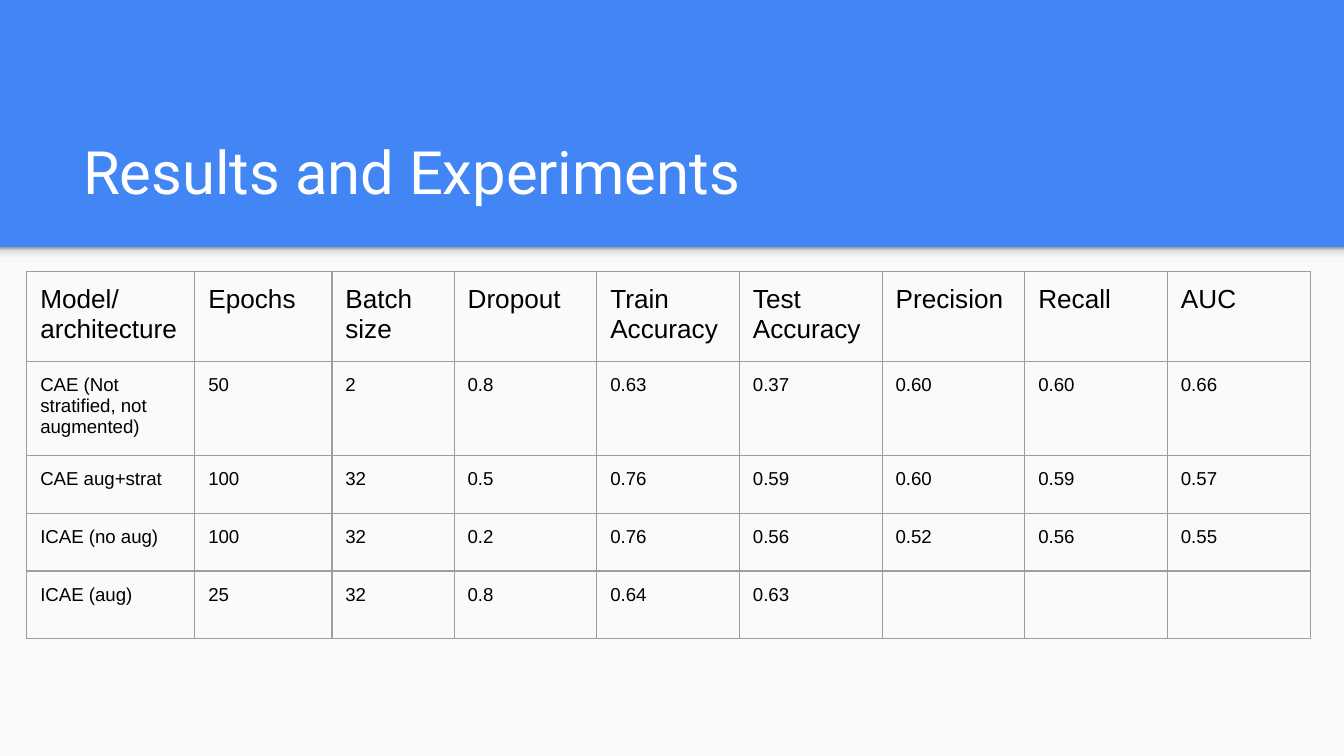
import pptx
import pptx.dml.color
import pptx.enum.shapes
import pptx.enum.text
import pptx.oxml.ns
import pptx.util
from lxml import etree

Inches = pptx.util.Inches
Pt = pptx.util.Pt
qn = pptx.oxml.ns.qn

COLORS = {
    "blue": "4285F4",
    "paper": "FAFAFA",
    "white": "FFFFFF",
    "ink": "000000",
    "rule": "9E9E9E",
}
SHADE = [(0, "999999"), (20, "DEDEDE"), (64, "F9F9F9"), (100, "F9F9F9")]

# The first three columns are set, the other six share the rest
WIDTH = 9.55
FIRST = [1.25, 1.02, 0.91]
COLS = FIRST + [(WIDTH - sum(FIRST)) / 6] * 6
# Least heights: rows grow to fit their text
ROWS = [0.42] + [0.43] * 4
DATA = [
    ["Model/\narchitecture", "Epochs", "Batch size", "Dropout", "Train Accuracy",
     "Test Accuracy", "Precision", "Recall", "AUC"],
    ["CAE (Not stratified, not augmented)", "50", "2", "0.8", "0.63", "0.37",
     "0.60", "0.60", "0.66"],
    ["CAE aug+strat", "100", "32", "0.5", "0.76", "0.59", "0.60", "0.59", "0.57"],
    ["ICAE (no aug)", "100", "32", "0.2", "0.76", "0.56", "0.52", "0.56", "0.55"],
    ["ICAE (aug)", "25", "32", "0.8", "0.64", "0.63", "", "", ""],
]


def rgb(name):
    return pptx.dml.color.RGBColor.from_string(COLORS[name])


def write(frame, text, size=10, font="Arial", color="ink"):
    frame.word_wrap = True
    frame.text = text
    for para in frame.paragraphs:
        for run in para.runs:
            run.font.size = Pt(size)
            run.font.name = font
            run.font.color.rgb = rgb(color)


def pad(item):
    item.margin_left = item.margin_right = Inches(0.1)
    item.margin_top = item.margin_bottom = Inches(0.1)


def block(slide, x, y, w, h):
    shape = slide.shapes.add_shape(
        pptx.enum.shapes.MSO_SHAPE.RECTANGLE,
        Inches(x), Inches(y), Inches(w), Inches(h))
    shape.shadow.inherit = False
    shape.line.fill.background()
    return shape


def panel(slide, x, y, w, h):
    # Light body area
    body = block(slide, x, y, w, h)
    body.fill.solid()
    body.fill.fore_color.rgb = rgb("paper")

    # Soft shade below the header
    shade = block(slide, x, y, w, 0.12)
    shade.fill.gradient()
    shade.fill.gradient_angle = 270
    stops = shade._element.spPr.find(qn("a:gradFill")).find(qn("a:gsLst"))
    for stop in list(stops):
        stops.remove(stop)
    for place, color in SHADE:
        stop = etree.SubElement(stops, qn("a:gs"), pos=str(place * 1000))
        etree.SubElement(stop, qn("a:srgbClr"), val=color)


def title(slide, x, y, w, h):
    box = slide.shapes.add_textbox(Inches(x), Inches(y), Inches(w), Inches(h))
    frame = box.text_frame
    pad(frame)
    frame.vertical_anchor = pptx.enum.text.MSO_ANCHOR.BOTTOM
    write(frame, "Results and Experiments", size=32, font="Roboto", color="white")


def border(cell):
    props = cell._tc.get_or_add_tcPr()
    for side in ("lnL", "lnR", "lnT", "lnB"):
        line = etree.SubElement(props, qn("a:" + side), w=str(Pt(0.75)))
        fill = etree.SubElement(line, qn("a:solidFill"))
        etree.SubElement(fill, qn("a:srgbClr"), val=COLORS["rule"])


def results(slide, x, y):
    grid = slide.shapes.add_table(
        len(ROWS), len(COLS), Inches(x), Inches(y),
        Inches(WIDTH), Inches(sum(ROWS))).table
    grid.first_row = False
    grid.horz_banding = False
    for col, width in zip(grid.columns, COLS):
        col.width = Inches(width)
    for row, height in zip(grid.rows, ROWS):
        row.height = Inches(height)
    for r, line in enumerate(DATA):
        for c, text in enumerate(line):
            cell = grid.cell(r, c)
            pad(cell)
            border(cell)
            cell.fill.background()
            write(cell.text_frame, text, size=10 if r else 14)


def main():
    deck = pptx.Presentation()
    deck.slide_width = Inches(10)
    deck.slide_height = Inches(10) * 9 // 16
    slide = deck.slides.add_slide(deck.slide_layouts[6])
    slide.background.fill.solid()
    slide.background.fill.fore_color.rgb = rgb("blue")
    panel(slide, 0, 1.84, 10, 3.79)
    title(slide, 0.52, 0.8, 8.99, 0.84)
    results(slide, 0.2, 2.02)
    deck.save("out.pptx")


if __name__ == "__main__":
    main()
